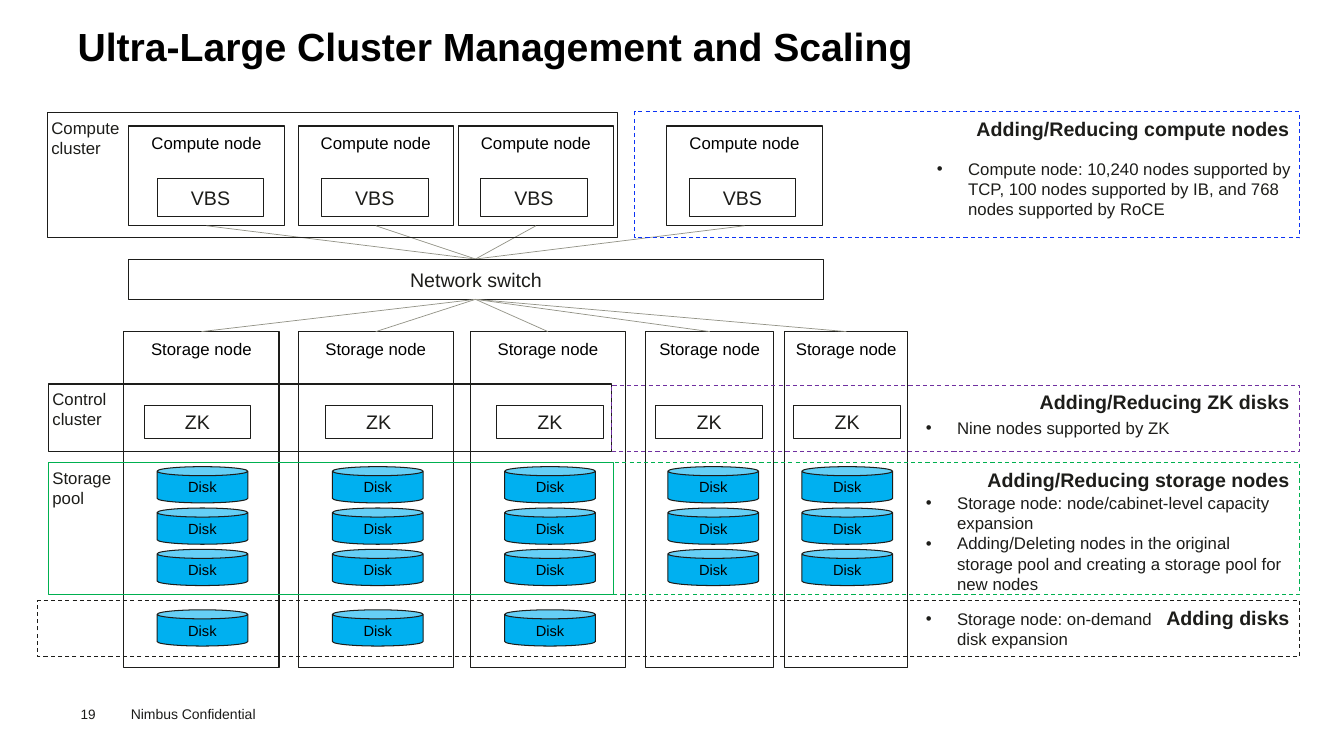
from dataclasses import dataclass
from lxml import etree
from pptx import Presentation
from pptx.dml.color import RGBColor
from pptx.enum.dml import MSO_LINE
from pptx.enum.shapes import MSO_CONNECTOR, MSO_SHAPE
from pptx.enum.text import MSO_ANCHOR, PP_ALIGN
from pptx.oxml.ns import qn
from pptx.util import Inches, Pt

RECT, CAN = MSO_SHAPE.RECTANGLE, MSO_SHAPE.CAN
STRAIGHT, DASH = MSO_CONNECTOR.STRAIGHT, MSO_LINE.DASH
TOP, MIDDLE = MSO_ANCHOR.TOP, MSO_ANCHOR.MIDDLE
LEFT, CENTER, RIGHT = PP_ALIGN.LEFT, PP_ALIGN.CENTER, PP_ALIGN.RIGHT


@dataclass(frozen=True)
class Theme:
    font: str = "Arial"
    ink: str = "1D1D1A"
    foot: str = "1D1D1B"
    black: str = "000000"
    disk: str = "00B0F0"
    wire: str = "939387"
    green: str = "00B050"
    blue: str = "0C33F4"
    purple: str = "7030A0"
    title: float = 28
    head: float = 14
    body: float = 12
    label: float = 10.5
    note: float = 10
    page: float = 9.7


def color(code):
    return RGBColor.from_string(code)


def write(shape, text, font, size, ink, bold=False, align=LEFT, anchor=TOP,
          pad=(0.1, 0.05, 0.1, 0.05), bullet=False):
    frame = shape.text_frame
    frame.word_wrap = True
    frame.vertical_anchor = anchor
    frame.margin_left, frame.margin_top, frame.margin_right, frame.margin_bottom = map(Inches, pad)
    frame.text = text
    for para in frame.paragraphs:
        para.alignment = align
        if bullet:
            props = para._p.get_or_add_pPr()
            props.set("marL", str(Inches(0.31)))
            props.set("indent", str(Inches(-0.31)))
            etree.SubElement(props, qn("a:buFont")).set("typeface", font)
            etree.SubElement(props, qn("a:buChar")).set("char", "•")
        for run in para.runs:
            run.font.name = font
            run.font.size = Pt(size)
            run.font.bold = bold
            run.font.color.rgb = color(ink)


class Board:
    def __init__(self, slide, theme):
        self.shapes = slide.shapes
        self.theme = theme

    def text(self, place, words, size, ink, **style):
        box = self.shapes.add_textbox(*map(Inches, place))
        write(box, words, self.theme.font, size, ink, **style)

    def shape(self, place, words, size, ink, kind=RECT, fill=None, line=None,
              width=0.75, dash=None, **style):
        item = self.shapes.add_shape(kind, *map(Inches, place))
        item.shadow.inherit = False
        if fill:
            item.fill.solid()
            item.fill.fore_color.rgb = color(fill)
        else:
            item.fill.background()
        item.line.color.rgb = color(line or self.theme.ink)
        item.line.width = Pt(width)
        if dash:
            item.line.dash_style = dash
        write(item, words, self.theme.font, size, ink, **style)

    def wire(self, *ends):
        line = self.shapes.add_connector(STRAIGHT, *map(Inches, ends))
        line.line.color.rgb = color(self.theme.wire)
        line.line.width = Pt(0.5)
        etree.SubElement(line._element.spPr, qn("a:effectLst"))

    def node(self, place, words):
        self.shape(place, words, self.theme.body, self.theme.black,
                   align=CENTER, pad=(0.05, 0.07, 0.05, 0.07))

    def block(self, place, words):
        self.shape(place, words, self.theme.head, self.theme.ink, width=0,
                   align=CENTER, anchor=MIDDLE)

    def disk(self, left, top):
        self.shape((left, top, 0.9, 0.36), "Disk", self.theme.label, self.theme.black,
                   kind=CAN, fill=self.theme.disk, align=CENTER, anchor=MIDDLE,
                   pad=(0.13, 0.07, 0.13, 0.07))

    def group(self, place, words, line=None):
        self.shape(place, words, self.theme.body, self.theme.ink, line=line,
                   pad=(0.04, 0.05, 0.1, 0.05))

    def scale(self, place, words, line):
        self.shape(place, words, self.theme.head, self.theme.ink, line=line, dash=DASH,
                   bold=True, align=RIGHT)

    def points(self, place, words):
        self.text(place, words, self.theme.body, self.theme.ink, bullet=True, pad=(0, 0, 0, 0))


def main():
    deck = Presentation()
    deck.slide_width, deck.slide_height = Inches(13.34), Inches(7.5)
    theme = Theme()
    board = Board(deck.slides.add_slide(deck.slide_layouts[6]), theme)

    board.text((0.77, 0.14, 12.29, 0.53), "Ultra-Large Cluster Management and Scaling",
               theme.title, theme.black, bold=True, pad=(0, 0.08, 0.1, 0.05))
    board.text((1.2, 6.95, 1.6, 0.27), "Nimbus Confidential", theme.note, theme.foot)
    board.text((0.8, 7, 0.55, 0.16), "19", theme.page, theme.foot, pad=(0, 0, 0, 0))

    hub, roof, floor = 4.72, 2.57, 2.97
    for left, inner in ((1.28, 1.56), (2.96, 3.19), (4.55, 4.77), (6.62, 6.84)):
        board.node((left, 1.25, 1.54, 0.99), "Compute node")
        board.block((inner, 1.77, 1.06, 0.38), "VBS")
        board.wire(left + 0.77, 2.24, hub, roof)
    board.block((1.28, roof, 6.89, floor - roof), "Network switch")

    stores = (
        (1.23, 1.54, 1.43, 1.56, 4),
        (2.96, 1.54, 3.23, 3.3, 4),
        (4.67, 1.54, 4.93, 5.01, 4),
        (6.41, 1.27, 6.51, 6.63, 3),
        (7.79, 1.22, 7.88, 7.96, 3),
    )
    rows = (4.63, 5.04, 5.45, 6.05)
    for left, width, keeper, disk, count in stores:
        board.node((left, 3.29, width, 3.33), "Storage node")
        board.block((keeper, 4.02, 1.06, 0.33), "ZK")
        board.wire(left + width / 2, 3.29, hub, floor)
        for top in rows[:count]:
            board.disk(disk, top)

    board.group((0.47, 1.12, 5.66, 1.24), "Compute\ncluster")
    board.group((0.48, 3.81, 5.59, 0.67), "Control\ncluster")
    board.group((0.48, 4.59, 5.61, 1.31), "Storage\npool", theme.green)

    board.scale((6.3, 1.11, 6.6, 1.25), "Adding/Reducing compute nodes", theme.blue)
    board.scale((6.07, 3.82, 6.83, 0.66), "Adding/Reducing ZK disks", theme.purple)
    board.scale((6.09, 4.59, 6.81, 1.31), "Adding/Reducing storage nodes", theme.green)
    board.scale((0.37, 5.96, 12.53, 0.55), "Adding disks", theme.ink)

    board.points((9.3, 1.57, 3.6, 1.03),
                 "Compute node: 10,240 nodes supported by TCP, 100 nodes supported by IB, "
                 "and 768 nodes supported by RoCE")
    board.points((9.19, 4.14, 2.45, 0.47), "Nine nodes supported by ZK")
    board.points((9.19, 4.89, 3.62, 0.96),
                 "Storage node: node/cabinet-level capacity expansion\n"
                 "Adding/Deleting nodes in the original storage pool and creating "
                 "a storage pool for new nodes")
    board.points((9.19, 6.04, 2.36, 0.47), "Storage node: on-demand disk expansion")

    deck.save("out.pptx")


if __name__ == "__main__":
    main()
